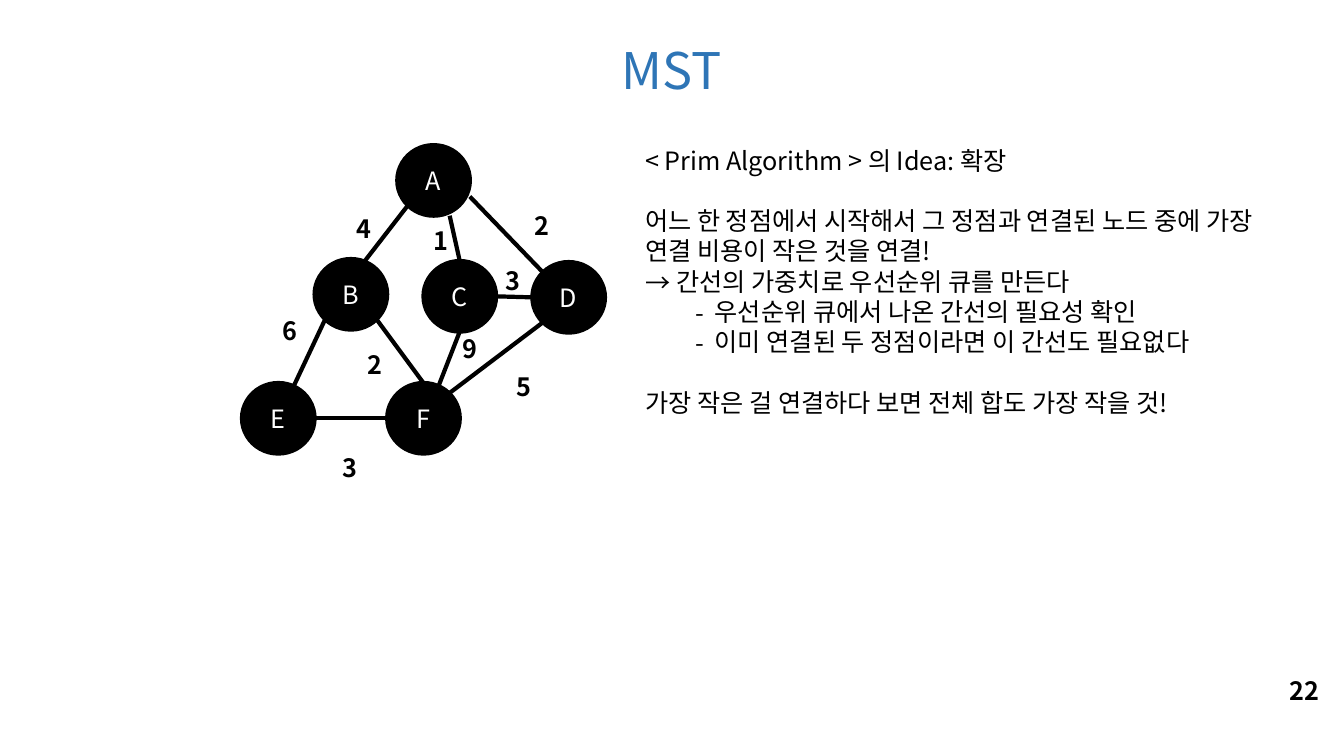
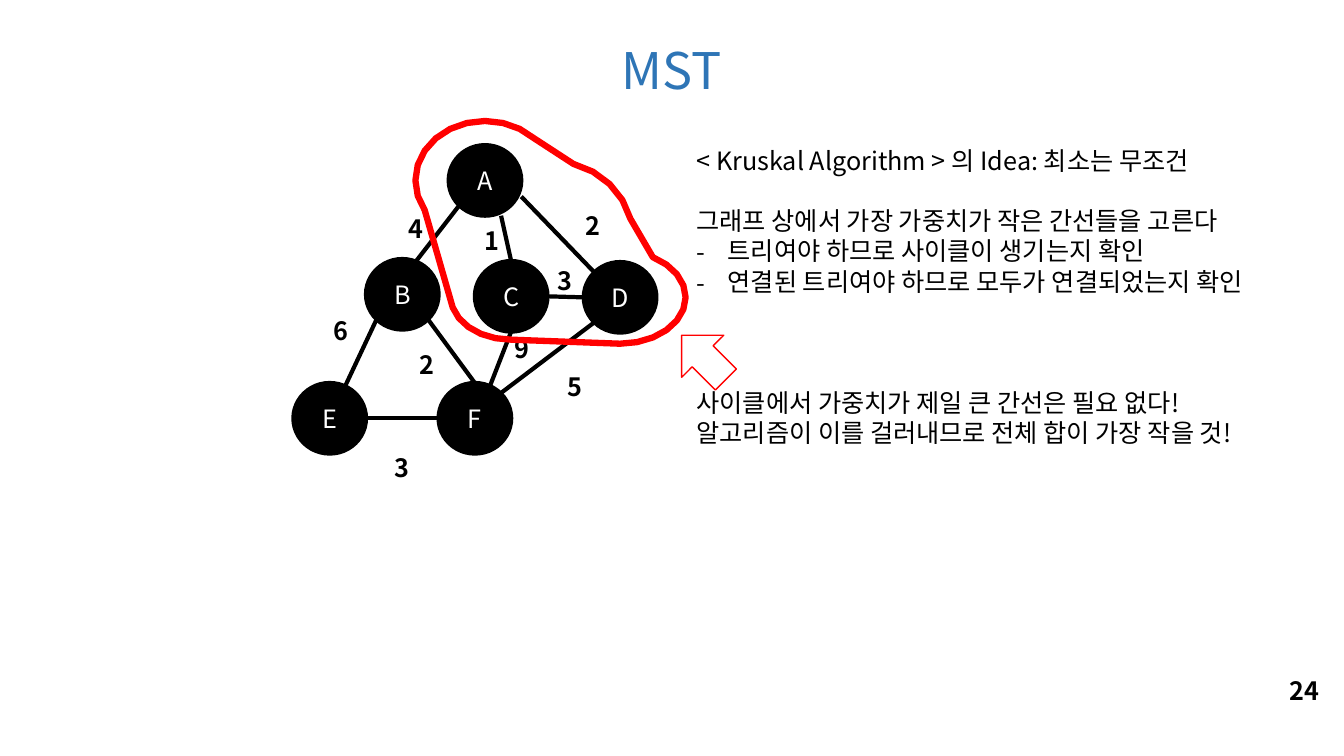
from math import cos, radians, sin

from lxml import etree
from pptx import Presentation
from pptx import util as u
from pptx.dml.color import RGBColor
from pptx.enum import shapes, text
from pptx.oxml.ns import qn

FONT = "Noto Sans CJK KR"
BLACK = RGBColor(0x00, 0x00, 0x00)
WHITE = RGBColor(0xFF, 0xFF, 0xFF)
BLUE = RGBColor(0x2E, 0x75, 0xB6)
RED = RGBColor(0xFF, 0x00, 0x00)

BODY = {"size": u.Pt(18), "color": BLACK, "bold": False}
BOLD = {**BODY, "bold": True}
NODE = {**BODY, "color": WHITE}
TITLE = {**BODY, "size": u.Pt(36), "color": BLUE}

LINE_RATIO = 1.2
LINE_PT = 18 * LINE_RATIO
TITLE_BOX = (0, 0.33, 13.33, 0.72)
NUMBER_BOX = (12.69, 6.65, 0.53, 0.4)
POINTER_BOX = (6.67, 3.25, 0.62, 0.59)
WEIGHT_SIZE = (0.43, 0.4)
NODE_W, NODE_H = 0.72, 0.7

NODES = {
    "A": (3.94, 1.44), "B": (3.12, 2.57), "C": (4.2, 2.59),
    "D": (5.28, 2.6), "E": (2.4, 3.8), "F": (3.84, 3.8),
}
ANGLES = {"right": 0, "lower right": 45, "bottom": 90, "lower left": 135,
          "left": 180, "upper left": 225, "top": 270, "upper right": 315}
EDGES = [
    (("A", "lower left"), (3.61, 2.6)),
    (("B", "lower left"), (2.89, 3.88)),
    (("B", "lower right"), ("F", "top")),
    ((4.46, 2.14), ("C", "top")),
    ((4.66, 1.95), ("D", "upper left")),
    (("F", "upper right"), ("D", "lower left")),
    (("F", "left"), ("E", "right")),
    (("C", "bottom"), (4.33, 3.88)),
    (("C", "right"), ("D", "left")),
]
WEIGHTS = [
    ("3", 3.3, 4.44), ("2", 3.55, 3.42), ("6", 2.7, 3.08),
    ("9", 4.49, 3.26), ("1", 4.2, 2.19), ("4", 3.44, 2.07),
    ("2", 5.2, 2.04), ("5", 5.02, 3.63), ("3", 4.92, 2.58),
]

ARC_STEP = 15
CYCLE_ARCS = [
    {"around": "A", "radii": (0.69, 0.59), "sweep": (150, 315)},
    {"around": "AD", "radii": (0.8, 0.77), "sweep": (285, 345)},
    {"around": "D", "radii": (0.65, 0.46), "sweep": (300, 450)},
    {"around": "C", "radii": (0.6, 0.43), "sweep": (90, 165)},
]

ARROW = {"bullet": "→", "margin": 0.31, "hang": 0.31}
DASH = {"bullet": "-", "margin": 0.31, "hang": 0.31}
SUB_DASH = {"bullet": "-", "margin": 0.69, "hang": 0.19, "level": 1}

PAGES = [
    {
        "title": "MST", "number": "22", "shift": 0, "cycle": False,
        "idea_box": (6.3, 1.39, 6.35, 2.83),
        "idea": [
            ("< Prim Algorithm > 의 Idea: 확장", {}),
            ("어느 한 정점에서 시작해서 그 정점과 연결된 노드 중에 가장 연결 비용이 작은 것을 연결!",
             {"gap": 1}),
            ("간선의 가중치로 우선순위 큐를 만든다", ARROW),
            ("우선순위 큐에서 나온 간선의 필요성 확인", SUB_DASH),
            ("이미 연결된 두 정점이라면 이 간선도 필요없다", SUB_DASH),
            ("가장 작은 걸 연결하다 보면 전체 합도 가장 작을 것!", {"gap": 1}),
        ],
    },
    {
        "title": "MST", "number": "24", "shift": 0.51, "cycle": True,
        "idea_box": (6.81, 1.39, 6.35, 3.13),
        "idea": [
            ("< Kruskal Algorithm > 의 Idea: 최소는 무조건", {}),
            ("그래프 상에서 가장 가중치가 작은 간선들을 고른다", {"gap": 1}),
            ("트리여야 하므로 사이클이 생기는지 확인", DASH),
            ("연결된 트리여야 하므로 모두가 연결되었는지 확인", DASH),
            ("사이클에서 가중치가 제일 큰 간선은 필요 없다!", {"gap": 3}),
            ("알고리즘이 이를 걸러내므로 전체 합이 가장 작을 것!", {}),
        ],
    },
]


def inches(*values):
    return [u.Inches(value) for value in values]


def apply(target, formats):
    for name, value in formats.items():
        setattr(target, name, value)


def write(paragraph, words, style, align=text.PP_ALIGN.LEFT):
    run = paragraph.add_run()
    run.text = words
    apply(run.font, {"name": FONT, "size": style["size"], "bold": style["bold"]})
    run.font.color.rgb = style["color"]
    etree.SubElement(run.font._element, qn("a:ea")).set("typeface", FONT)
    apply(paragraph, {
        "alignment": align, "line_spacing": u.Pt(style["size"].pt * LINE_RATIO),
        "space_before": u.Pt(0), "space_after": u.Pt(0)})


def add_bullet(paragraph, bullet, margin, hang, level=0):
    paragraph.level = level
    properties = paragraph._p.get_or_add_pPr()
    properties.set("marL", str(u.Inches(margin)))
    properties.set("indent", str(-u.Inches(hang)))
    etree.SubElement(properties, qn("a:buFont")).set("typeface", FONT)
    etree.SubElement(properties, qn("a:buChar")).set("char", bullet)


def add_label(slide, words, box, style, wrap=True):
    frame = slide.shapes.add_textbox(*inches(*box)).text_frame
    frame.word_wrap = wrap
    write(frame.paragraphs[0], words, style)


def add_title(slide, words):
    title = slide.shapes.title
    apply(title, dict(zip(("left", "top", "width", "height"), inches(*TITLE_BOX))))
    apply(title.text_frame, {"auto_size": text.MSO_AUTO_SIZE.NONE,
                             "vertical_anchor": text.MSO_ANCHOR.MIDDLE})
    write(title.text_frame.paragraphs[0], words, TITLE, text.PP_ALIGN.CENTER)


def add_idea(slide, lines, box):
    frame = slide.shapes.add_textbox(*inches(*box)).text_frame
    frame.word_wrap = True
    for index, (words, form) in enumerate(lines):
        paragraph = frame.add_paragraph() if index else frame.paragraphs[0]
        write(paragraph, words, BODY)
        if "gap" in form:
            paragraph.space_before = u.Pt(form["gap"] * LINE_PT)
        if "bullet" in form:
            add_bullet(paragraph, **form)


def set_outline(part, color, weight):
    part.line.color.rgb = color
    part.line.width = u.Pt(weight)


def middle_of(names):
    lefts, tops = zip(*(NODES[name] for name in names))
    return sum(lefts) / len(names) + NODE_W / 2, sum(tops) / len(names) + NODE_H / 2


def ellipse_point(center, radii, degrees):
    angle = radians(degrees)
    return center[0] + radii[0] * cos(angle), center[1] + radii[1] * sin(angle)


def edge_end(end, shift):
    if end[0] in NODES:
        name, side = end
        end = ellipse_point(middle_of(name), (NODE_W / 2, NODE_H / 2), ANGLES[side])
    x, y = end
    return inches(x + shift, y)


def add_graph(slide, shift):
    for begin, end in EDGES:
        edge = slide.shapes.add_connector(
            shapes.MSO_CONNECTOR.STRAIGHT, *edge_end(begin, shift), *edge_end(end, shift))
        set_outline(edge, BLACK, 3)
        etree.SubElement(edge._element.spPr, qn("a:effectLst"))
    for name, (left, top) in NODES.items():
        node = slide.shapes.add_shape(
            shapes.MSO_SHAPE.OVAL, *inches(left + shift, top, NODE_W, NODE_H))
        node.shadow.inherit = False
        node.fill.solid()
        node.fill.fore_color.rgb = BLACK
        set_outline(node, BLACK, 3)
        node.text_frame.vertical_anchor = text.MSO_ANCHOR.MIDDLE
        write(node.text_frame.paragraphs[0], name, NODE, text.PP_ALIGN.CENTER)
    for weight, left, top in WEIGHTS:
        add_label(slide, weight, (left + shift, top, *WEIGHT_SIZE), BOLD)


def cycle_outline(shift):
    for arc in CYCLE_ARCS:
        center = middle_of(arc["around"])
        first, last = arc["sweep"]
        for degrees in range(first, last + 1, ARC_STEP):
            x, y = ellipse_point(center, arc["radii"], degrees)
            yield inches(x + shift, y)


def add_cycle_mark(slide, shift):
    start, *rest = cycle_outline(shift)
    builder = slide.shapes.build_freeform(*start)
    builder.add_line_segments(rest, close=True)
    loop = builder.convert_to_shape()
    pointer = slide.shapes.add_shape(shapes.MSO_SHAPE.RIGHT_ARROW, *inches(*POINTER_BOX))
    pointer.rotation = 225
    for mark, weight in ((loop, 4.5), (pointer, 1)):
        mark.shadow.inherit = False
        mark.fill.background()
        set_outline(mark, RED, weight)


def main():
    deck = Presentation()
    deck.slide_width, deck.slide_height = inches(13.33, 7.5)
    for page in PAGES:
        slide = deck.slides.add_slide(deck.slide_layouts[5])
        add_title(slide, page["title"])
        add_idea(slide, page["idea"], page["idea_box"])
        add_graph(slide, page["shift"])
        if page["cycle"]:
            add_cycle_mark(slide, page["shift"])
        add_label(slide, page["number"], NUMBER_BOX, BOLD, wrap=False)
    deck.save("out.pptx")


if __name__ == "__main__":
    main()
